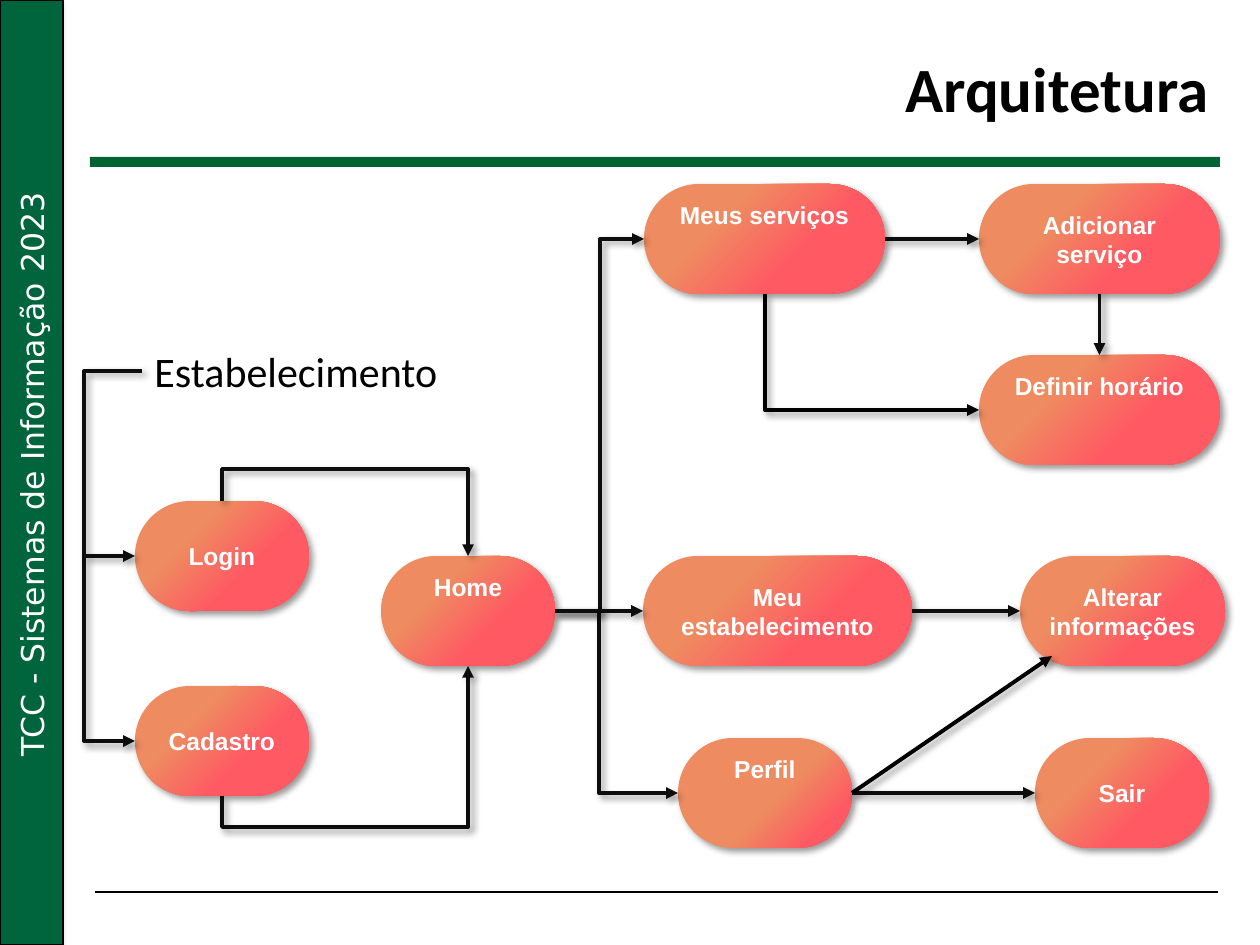
from lxml import etree
from pptx import Presentation
from pptx import util as u
from pptx.dml.color import RGBColor
from pptx.enum import shapes, text
from pptx.oxml import ns

HUES = {"side": "00643C", "bar": "006432", "warm": "EE8B60", "hot": "FF5963",
        "ink": "0D0D0D", "black": "000000", "white": "FFFFFF"}
TOP, LEFT, BOTTOM, RIGHT = range(4)
KIND = shapes.MSO_CONNECTOR


def px(n):
    return u.Emu(round(n * 914400 / 126))


def hue(name):
    return RGBColor.from_string(HUES[name])


def add(node, tag, **attrs):
    item = etree.SubElement(node, ns.qn("a:" + tag))
    for key, val in attrs.items():
        item.set(key, str(val))
    return item


class Deck:
    """Holds the slide and draws each kind of element in one style."""

    def __init__(self):
        self.prs = Presentation()
        self.prs.slide_width, self.prs.slide_height = px(1260), px(945)
        self.slide = self.prs.slides.add_slide(self.prs.slide_layouts[5])
        self.tree = self.slide.shapes

    def shade(self, item, angle=45):
        glow = add(add(item._element.spPr, "effectLst"), "outerShdw", blurRad=u.Pt(4),
                   dist=u.Pt(3), dir=angle * 60000, algn="tl", rotWithShape=0)
        add(add(glow, "srgbClr", val=HUES["black"]), "alpha", val=40000)

    def letter(self, item, words, font, size, color, align, bold=False):
        para = item.text_frame.paragraphs[0]
        para.text, para.alignment = words, align
        para.font.name, para.font.size = font, u.Pt(size)
        para.font.bold, para.font.color.rgb = bold, hue(color)

    def title(self, words, *box):
        item = self.tree.title
        item.left, item.top, item.width, item.height = map(px, box)
        item.text_frame.word_wrap = True
        item.text_frame.vertical_anchor = text.MSO_ANCHOR.MIDDLE
        self.letter(item, words, "Calibri", 36, "black", text.PP_ALIGN.RIGHT, True)

    def label(self, words, box, font, size, color, align, turn=0, wrap=True):
        item = self.tree.add_textbox(*map(px, box))
        item.rotation = turn
        item.text_frame.word_wrap = wrap
        self.letter(item, words, font, size, color, align)

    def block(self, fill, *box, edge=None):
        item = self.tree.add_shape(shapes.MSO_SHAPE.RECTANGLE, *map(px, box))
        item.fill.solid()
        item.fill.fore_color.rgb = hue(fill)
        if edge:
            item.line.color.rgb, item.line.width = hue(edge), u.Pt(0.75)
            self.shade(item, 135)
        else:
            item.line.fill.background()
            item.shadow.inherit = False

    def pill(self, words, x, y, w=174, high=False, stops=(0.32, 0.65)):
        item = self.tree.add_shape(shapes.MSO_SHAPE.ROUNDED_RECTANGLE, *map(px, (x, y, w, 110)))
        item.adjustments[0] = 0.5
        item.fill.gradient()
        item.fill.gradient_angle = 315
        for stop, place, name in zip(item.fill.gradient_stops, stops, ("warm", "hot")):
            stop.position, stop.color.rgb = place, hue(name)
        item.line.fill.background()
        self.shade(item)
        frame = item.text_frame
        frame.word_wrap = True
        frame.vertical_anchor = text.MSO_ANCHOR.MIDDLE
        if high:
            frame.vertical_anchor, frame.margin_top = text.MSO_ANCHOR.TOP, 0
        self.letter(item, words, "Arial", 14, "white", text.PP_ALIGN.CENTER, True)
        return item

    def ink(self, item, color):
        item.line.color.rgb, item.line.width = hue(color), u.Pt(2.25)
        add(item.line._get_or_add_ln(), "tailEnd", type="triangle")
        self.shade(item)

    def rule(self, *ends):
        item = self.tree.add_connector(KIND.STRAIGHT, *map(px, ends))
        item.line.color.rgb, item.line.width = hue("black"), u.Pt(0.75)
        add(item._element.spPr, "effectLst")

    def arrow(self, ends, head=None, tail=None, color="ink"):
        item = self.tree.add_connector(KIND.STRAIGHT, *map(px, ends))
        if head:
            item.begin_connect(*head)
        if tail:
            item.end_connect(*tail)
        self.ink(item, color)

    def elbow(self, x, y, to_x, to_y, bend=None, upright=False, color="ink"):
        ends, turn = (x, y, to_x, to_y), 0
        ratio = (bend - x) / (to_x - x) if bend and not upright else 0.5
        if upright:
            dx, dy = to_x - x, to_y - y
            mid_x, mid_y = (x + to_x) / 2, (y + to_y) / 2
            run, rise = -abs(dy) / 2, (dx if dy > 0 else -dx) / 2
            ends = (mid_x - run, mid_y - rise, mid_x + run, mid_y + rise)
            turn = 270 if dy > 0 else 90
            ratio = (bend - y) / dy if bend else 0.5
        item = self.tree.add_connector(KIND.ELBOW, *map(px, ends))
        props = item._element.spPr
        if turn:
            props.find(ns.qn("a:xfrm")).set("rot", str(turn * 60000))
        geom = props.find(ns.qn("a:prstGeom"))
        if bend:
            add(geom.find(ns.qn("a:avLst")), "gd", name="adj1", fmla=f"val {round(ratio * 100000)}")
        else:
            geom.set("prst", "bentConnector2")
        self.ink(item, color)


def main():
    deck = Deck()
    deck.block("side", 0, 0, 63, 945, edge="black")
    deck.label("TCC - Sistemas de Informação 2023", (-442, 451, 944, 47), "DejaVu Sans", 18,
               "white", text.PP_ALIGN.CENTER, turn=270)
    deck.rule(95, 892, 1218, 892)
    deck.block("bar", 90, 157, 1130, 10)
    deck.title("Arquitetura", 407, 32, 814, 110)

    login = deck.pill("Login", 135, 501)
    deck.pill("Cadastro", 135, 686)
    home = deck.pill("Home", 381, 556, high=True)
    offers = deck.pill("Meus serviços", 644, 184, 241, high=True)
    place = deck.pill("Meu estabelecimento", 643, 556, 269)
    extra = deck.pill("Adicionar serviço", 979, 184, 241)
    hours = deck.pill("Definir horário", 979, 355, 241, high=True)
    edit = deck.pill("Alterar informações", 1020, 556, 205)
    leave = deck.pill("Sair", 1035, 738)
    user = deck.pill("Perfil", 678, 738, high=True, stops=(0.56, 0.83))

    deck.elbow(222, 501, 468, 556, bend=469, upright=True)
    deck.elbow(222, 796, 468, 666, bend=827, upright=True)
    deck.elbow(555, 611, 644, 239, bend=600)
    deck.elbow(555, 611, 678, 793, bend=599)
    deck.elbow(142, 371, 135, 741, bend=84)
    deck.elbow(765, 294, 979, 410, upright=True, color="black")

    links = [(home, RIGHT, place, LEFT), (place, RIGHT, edit, LEFT),
             (offers, RIGHT, extra, LEFT), (extra, BOTTOM, hours, TOP),
             (user, RIGHT, leave, LEFT)]
    for start, out, end, into in links:
        deck.arrow((0, 0, 0, 0), (start, out), (end, into))
    deck.arrow((84, 556, 135, 556), tail=(login, LEFT))
    deck.arrow((852, 793, 1052, 656), head=(user, RIGHT), color="black")

    deck.label("Estabelecimento", (142, 339, 348, 63), "Calibri", 24, "black",
               text.PP_ALIGN.LEFT, wrap=False)
    deck.prs.save("out.pptx")


if __name__ == "__main__":
    main()
